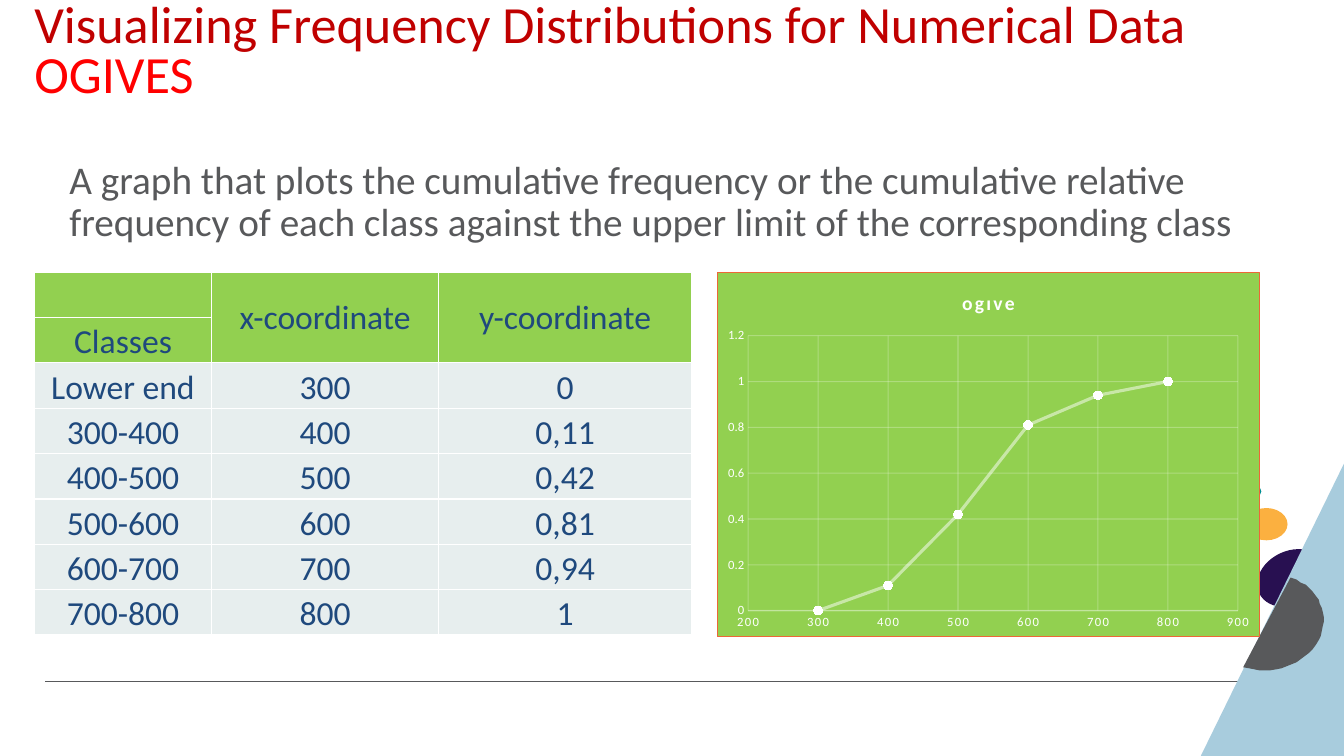
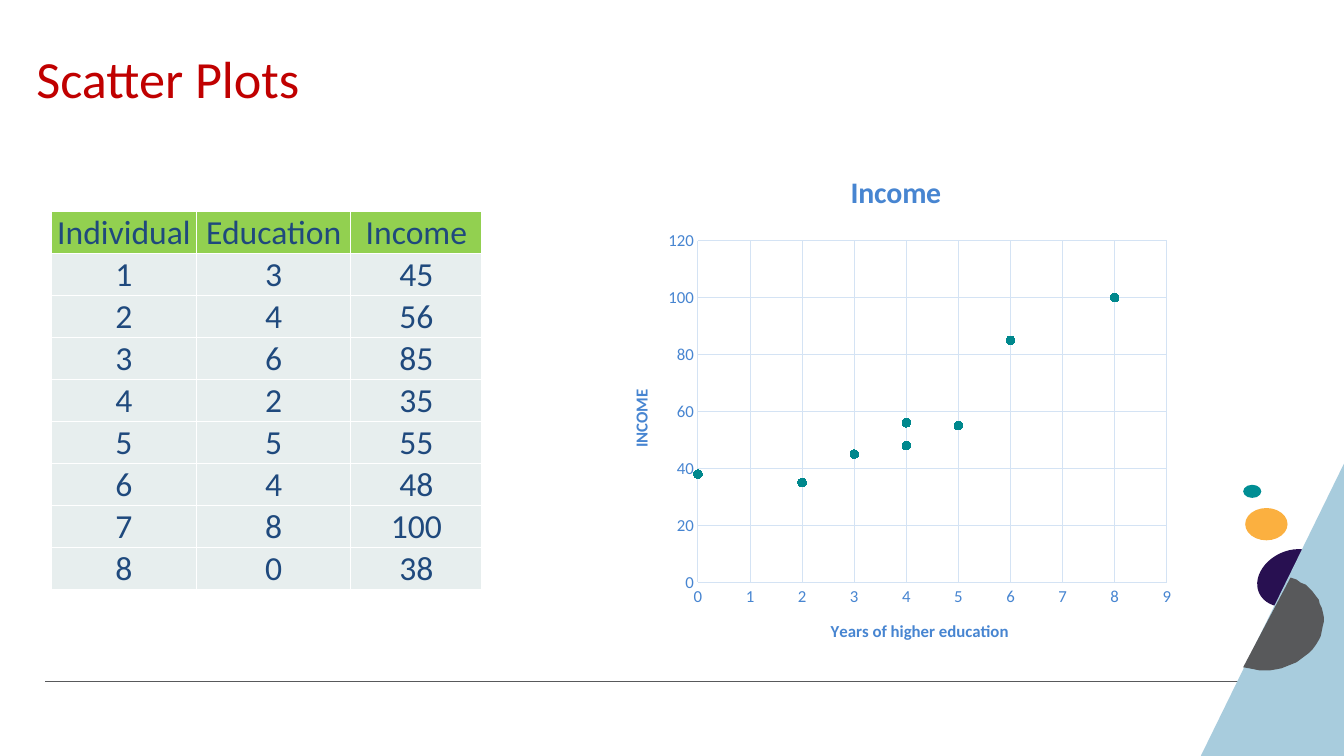
"""Builds two slides on ogives and scatter plots."""
import pptx
import pptx.chart.data
import pptx.dml.color
import pptx.enum.chart
import pptx.enum.shapes
import pptx.enum.text
import pptx.oxml
import pptx.oxml.ns
import pptx.util

px = 9144
Pt = pptx.util.Pt
qn = pptx.oxml.ns.qn
rgb = pptx.dml.color.RGBColor.from_string
Kind = pptx.enum.shapes.MSO_SHAPE
Plot = pptx.enum.chart.XL_CHART_TYPE
Anchor = pptx.enum.text.MSO_ANCHOR
Align = pptx.enum.text.PP_ALIGN
none = pptx.enum.chart.XL_TICK_MARK.NONE

RED, GRAY, NAVY, LIME, PALE = "C00000", "58595B", "1F497D", "92D050", "E7EEEE"
WHITE, BLUE, TEAL = "FFFFFF", "4785D1", "00888D"


def ink(font, size, tint, bold=False, gap=0):
    """Set the face, size, colour and letter spacing of a font."""
    for key, val in {"name": "Calibri", "size": Pt(size), "bold": bold}.items():
        setattr(font, key, val)
    font.color.rgb = rgb(tint)
    if gap:
        font._rPr.set("spc", str(gap))


def pen(line, tint, width=0.75, alpha=100):
    """Set the colour, width and opacity of a line; no colour hides it."""
    if not tint:
        line.fill.background()
        return
    line.color.rgb = rgb(tint)
    line.width = Pt(width)
    if alpha < 100:
        for node in line._get_or_add_ln().iter(qn("a:srgbClr")):
            node.append(pptx.oxml.parse_xml(
                '<a:alpha xmlns:a="http://schemas.openxmlformats.org/drawingml/2006/main" '
                f'val="{alpha * 1000}"/>'))


deck = pptx.Presentation()
deck.slide_width, deck.slide_height = 1333 * px, 750 * px
layout = deck.slide_layouts[5]

pages = [
    {
        "title": [("Visualizing Frequency Distributions for Numerical Data", RED),
                  ("OGIVES", "FF0000")],
        "box": (34, 3, 1262, 151),
        "at": (34, 270), "cols": (176, 225, 251), "row": 45, "heads": 2,
        "rows": [("", "x-coordinate", "y-coordinate"), ("Classes", "", ""),
                 ("Lower end", "300", "0"), ("300-400", "400", "0,11"),
                 ("400-500", "500", "0,42"), ("500-600", "600", "0,81"),
                 ("600-700", "700", "0,94"), ("700-800", "800", "1")],
        "kind": Plot.XY_SCATTER_LINES, "area": (711, 270, 539, 362),
        "name": "ogıve", "head": (14, WHITE, True, 150),
        "points": [(300, 0), (400, 0.11), (500, 0.42), (600, 0.81), (700, 0.94), (800, 1)],
        "line": (WHITE, 2.25, 50), "dot": WHITE, "grid": (WHITE, 0.75, 25),
        "axes": [("", (200, 900, 100), (9, WHITE, False, 100), (WHITE, 1, 25)),
                 ("", (0, 1.2, 0.2), (9, WHITE), (None,))],
    },
    {
        "title": [("Scatter Plots", RED)],
        "box": (36, 58, 1262, 52),
        "at": (51, 210), "cols": (144, 153, 130), "row": 41, "heads": 1,
        "rows": [("Individual", "Education", "Income"), (1, 3, 45), (2, 4, 56),
                 (3, 6, 85), (4, 2, 35), (5, 5, 55), (6, 4, 48), (7, 8, 100), (8, 0, 38)],
        "kind": Plot.XY_SCATTER, "area": (604, 149, 569, 509),
        "name": "Income", "head": (21.3, BLUE, True),
        "points": [(3, 45), (4, 56), (6, 85), (2, 35), (5, 55), (4, 48), (8, 100), (0, 38)],
        "line": (None,), "dot": TEAL, "grid": ("D4E3F4",),
        "axes": [("Years of higher education", (0, 9, 1), (12, BLUE), (None,)),
                 ("INCOME", (0, 120, 20), (12, BLUE), (None,))],
    },
]
slides = [deck.slides.add_slide(layout) for page in pages]

shapes = slides[0].shapes
rule = shapes.add_connector(pptx.enum.shapes.MSO_CONNECTOR.STRAIGHT,
                            45 * px, 676 * px, 1288 * px, 676 * px)
pen(rule.line, GRAY)
rule.element.spPr.append(pptx.oxml.parse_xml(
    '<a:effectLst xmlns:a="http://schemas.openxmlformats.org/drawingml/2006/main"/>'))
decor = [rule]
for kind, box, turn, tint in [
    (Kind.OVAL, (1254, 538, 54, 71), 65, "281051"),
    (Kind.OVAL, (1235, 504, 42, 32), 0, "FBB040"),
    (Kind.OVAL, (1233, 481, 18, 13), 0, "008E94"),
    (Kind.RIGHT_TRIANGLE, (1191, 460, 142, 290), 0, "A8CCDD"),
]:
    shape = shapes.add_shape(kind, *[n * px for n in box])
    shape.rotation = turn
    shape.fill.solid()
    shape.fill.fore_color.rgb = rgb(tint)
    decor.append(shape)
shape.element.spPr.get_or_add_xfrm().set("flipH", "1")

curve = [(1286, 575), (1290, 578), (1295, 580), (1298, 583), (1302, 587), (1305, 591),
         (1308, 595), (1309, 599), (1311, 603), (1312, 607), (1313, 612), (1313, 617),
         (1312, 621), (1311, 626), (1310, 631), (1308, 635), (1305, 640), (1302, 644),
         (1298, 648), (1294, 651), (1290, 654), (1286, 657), (1281, 659), (1276, 661),
         (1271, 663), (1266, 664), (1260, 665), (1255, 665), (1249, 665), (1244, 664),
         (1239, 663), (1233, 662)]
path = shapes.build_freeform(1280, 573, scale=px)
path.add_line_segments(curve, close=True)
dome = path.convert_to_shape()
dome.fill.solid()
dome.fill.fore_color.rgb = rgb(GRAY)
decor.append(dome)

for num, shape in enumerate(decor, 20):
    if shape is not rule:
        shape.line.fill.background()
        shape.shadow.inherit = False
    shape.element.xpath(".//p:cNvPr")[0].set("id", str(num))
    layout.shapes.element.append(shape.element)

blank = {"margin_left": 0, "margin_top": 0, "margin_right": 0, "margin_bottom": 0,
         "word_wrap": True, "vertical_anchor": Anchor.TOP,
         "auto_size": pptx.enum.text.MSO_AUTO_SIZE.NONE}
inset = {"margin_left": px, "margin_top": px, "margin_right": px, "margin_bottom": 0}

for slide, page in zip(slides, pages):
    title = slide.shapes.title
    for key, val in zip(("left", "top", "width", "height"), page["box"]):
        setattr(title, key, val * px)
    for key, val in blank.items():
        setattr(title.text_frame, key, val)
    para = title.text_frame.paragraphs[0]
    para.alignment, para.line_spacing = Align.LEFT, 0.8
    for num, (text, tint) in enumerate(page["title"]):
        if num:
            para.add_line_break()
        run = para.add_run()
        run.text = text
        ink(run.font, 37.3, tint)

    rows, cols = page["rows"], page["cols"]
    size = (*page["at"], sum(cols), page["row"] * len(rows))
    table = slide.shapes.add_table(len(rows), len(cols), *[n * px for n in size]).table
    table.first_row = table.horz_banding = False
    for col, width in zip(table.columns, cols):
        col.width = width * px
    for r, row in enumerate(rows):
        table.rows[r].height = page["row"] * px
        for c, text in enumerate(row):
            cell = table.cell(r, c)
            for key, val in inset.items():
                setattr(cell, key, val)
            cell.vertical_anchor = Anchor.BOTTOM
            cell.fill.solid()
            cell.fill.fore_color.rgb = rgb(LIME if r < page["heads"] else PALE)
            for num, side in enumerate("LRTB"):
                cell._tc.get_or_add_tcPr().insert(num, pptx.oxml.parse_xml(
                    f'<a:ln{side} xmlns:a="http://schemas.openxmlformats.org/drawingml/2006/main" '
                    f'w="12700"><a:solidFill><a:srgbClr val="{WHITE}"/></a:solidFill></a:ln{side}>'))
            para = cell.text_frame.paragraphs[0]
            para.alignment = Align.CENTER
            if text != "":
                run = para.add_run()
                run.text = str(text)
                ink(run.font, 24, NAVY)
    if page["heads"] == 2:
        for c in (1, 2):
            table.cell(0, c).merge(table.cell(1, c))
            table.cell(0, c).vertical_anchor = Anchor.MIDDLE

    data = pptx.chart.data.XyChartData()
    points = data.add_series(page["name"])
    for x, y in page["points"]:
        points.add_data_point(x, y)
    chart = slide.shapes.add_chart(page["kind"], *[n * px for n in page["area"]], data).chart
    ink(chart.font, 10, NAVY)
    chart.has_legend = False
    chart.has_title = True
    plot = chart.plots[0]
    plot.vary_by_categories = False
    series = plot.series[0]
    series.smooth = False
    pen(series.format.line, *page["line"])
    mark = series.marker
    mark.style, mark.size = pptx.enum.chart.XL_MARKER_STYLE.CIRCLE, 6
    mark.format.fill.solid()
    mark.format.fill.fore_color.rgb = rgb(page["dot"])
    pen(mark.format.line, page["dot"])

    heads = [(chart.chart_title, page["name"], page["head"])]
    for axis, (name, span, font, line) in zip((chart.category_axis, chart.value_axis), page["axes"]):
        low, high, step = span
        for key, val in {"minimum_scale": low, "maximum_scale": high, "major_unit": step,
                         "major_tick_mark": none, "minor_tick_mark": none,
                         "has_major_gridlines": True, "has_title": bool(name)}.items():
            setattr(axis, key, val)
        ink(axis.tick_labels.font, *font)
        pen(axis.format.line, *line)
        pen(axis.major_gridlines.format.line, *page["grid"])
        if name:
            heads.append((axis.axis_title, name, (12, BLUE, True)))
    for head, text, font in heads:
        run = head.text_frame.paragraphs[0].add_run()
        run.text = text
        ink(run.font, *font)

    if slide is slides[0]:
        chart._chartSpace.find(qn("c:chart")).addnext(pptx.oxml.parse_xml(
            '<c:spPr xmlns:c="http://schemas.openxmlformats.org/drawingml/2006/chart" '
            'xmlns:a="http://schemas.openxmlformats.org/drawingml/2006/main">'
            f'<a:solidFill><a:srgbClr val="{LIME}"/></a:solidFill>'
            '<a:ln w="9525"><a:solidFill><a:srgbClr val="ED6737"/></a:solidFill></a:ln></c:spPr>'))

note = slides[0].shapes.add_textbox(59 * px, 154 * px, 1191 * px, 100 * px).text_frame
note.word_wrap = True
para = note.paragraphs[0]
para.line_spacing = 0.9
run = para.add_run()
run.text = ("A graph that plots the cumulative frequency or the cumulative relative "
            "frequency of each class against the upper limit of the corresponding class")
ink(run.font, 28, GRAY)

deck.save("out.pptx")
